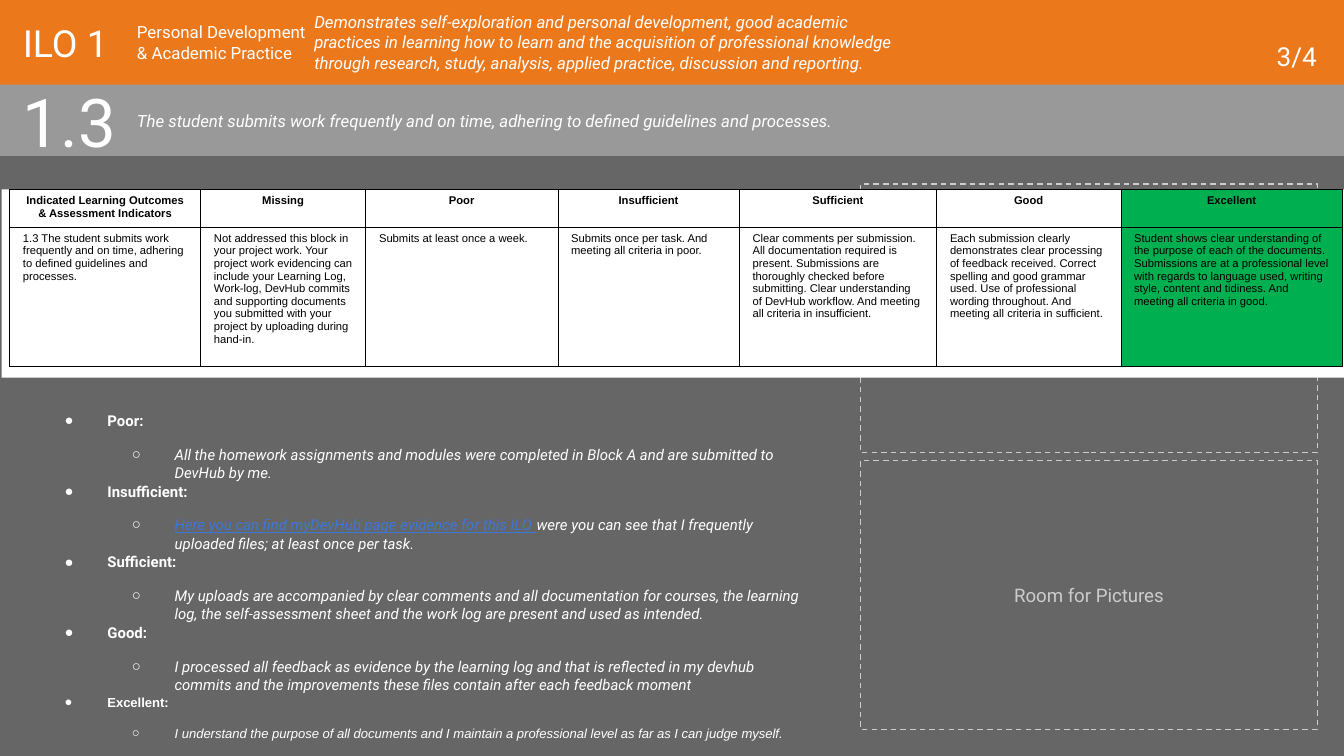
from lxml.etree import SubElement
from pptx import Presentation
from pptx.dml.color import RGBColor
from pptx.enum.dml import MSO_LINE
from pptx.enum.shapes import MSO_SHAPE
from pptx.enum.text import MSO_ANCHOR, MSO_AUTO_SIZE, PP_ALIGN
from pptx.oxml.ns import qn
from pptx.util import Cm, Pt

COLOURS = {
    "background": "666666",
    "indicator band": "999999",
    "outcome band": "EC781C",
    "frame": "CCCCCC",
    "white": "FFFFFF",
    "black": "000000",
    "achieved": "00B050",
    "link": "3C78D8",
}
INSET = Cm(0.25)
BAND_HEIGHT = 1.6
INDICATOR_HEIGHT = 1.37

COLUMN_WIDTHS = [3.61, 3.12, 3.63, 3.43, 3.73, 3.48, 4.19]
ROW_HEIGHTS = [0.71, 2.64]
RUBRIC = [
    ("Indicated Learning Outcomes & Assessment Indicators",
     "1.3 The student submits work frequently and on time, adhering to defined "
     "guidelines and processes."),
    ("Missing",
     "Not addressed this block in your project work. Your project work evidencing can "
     "include your Learning Log, Work-log, DevHub commits and supporting documents you "
     "submitted with your project by uploading during hand-in."),
    ("Poor", "Submits at least once a week."),
    ("Insufficient", "Submits once per task. And meeting all criteria in poor."),
    ("Sufficient",
     "Clear comments per submission. All documentation required is present. Submissions "
     "are thoroughly checked before submitting. Clear understanding of DevHub workflow. "
     "And meeting all criteria in insufficient."),
    ("Good",
     "Each submission clearly demonstrates clear processing of feedback received. Correct "
     "spelling and good grammar used. Use of professional wording throughout. And meeting "
     "all criteria in sufficient."),
    ("Excellent",
     "Student shows clear understanding of the purpose of each of the documents. "
     "Submissions are at a professional level with regards to language used, writing "
     "style, content and tidiness. And meeting all criteria in good."),
]

# Level, link text, evidence, font, size
EVIDENCE = [
    ("Poor:", "",
     "All the homework assignments and modules were completed in Block A and are "
     "submitted to DevHub by me.", "Roboto", 8),
    ("Insufficient:", "Here you can find myDevHub page evidence for this ILO ",
     "were you can see that I frequently uploaded files; at least once per task.",
     "Roboto", 8),
    ("Sufficient:", "",
     "My uploads are accompanied by clear comments and all documentation for courses, "
     "the learning log, the self-assessment sheet and the work log are present and used "
     "as intended.", "Roboto", 8),
    ("Good:", "",
     "I processed all feedback as evidence by the learning log and that is reflected in "
     "my devhub commits and the improvements these files contain after each feedback "
     "moment", "Roboto", 8),
    ("Excellent:", "",
     "I understand the purpose of all documents and I maintain a professional level as "
     "far as I can judge myself.", "Arial", 7),
]


def colour(name):
    return RGBColor.from_string(COLOURS[name])


def format_runs(paragraph, size, font="Roboto", colour_name="white", bold=False, italic=False):
    for run in paragraph.runs:
        run.font.size = Pt(size)
        run.font.name = font
        run.font.bold = bold
        run.font.italic = italic
        run.font.color.rgb = colour(colour_name)


def prepare_frame(text_frame, anchor):
    text_frame.word_wrap = True
    text_frame.auto_size = MSO_AUTO_SIZE.NONE
    text_frame.vertical_anchor = anchor
    text_frame.margin_left = text_frame.margin_right = INSET
    text_frame.margin_top = text_frame.margin_bottom = INSET


def place_in_front(shape, left, top, width, height):
    """Move a placeholder to its position and above the shapes drawn so far."""
    shape.left, shape.top, shape.width, shape.height = map(Cm, (left, top, width, height))
    shape.element.getparent().append(shape.element)


def add_rectangle(slide, left, top, width, height, fill=None):
    shape = slide.shapes.add_shape(
        MSO_SHAPE.RECTANGLE, *map(Cm, (left, top, width, height)))
    shape.shadow.inherit = False
    shape.line.fill.background()
    if fill:
        shape.fill.solid()
        shape.fill.fore_color.rgb = colour(fill)
    else:
        shape.fill.background()
    return shape


def add_picture_frame(slide, top, label=""):
    frame = add_rectangle(slide, 16.26, top, 8.64, 5.08)
    frame.line.color.rgb = colour("frame")
    frame.line.width = Pt(0.75)
    frame.line.dash_style = MSO_LINE.DASH
    if label:
        write_heading(frame, label, 10, PP_ALIGN.CENTER, colour_name="frame")


def write_heading(shape, text, size, align=PP_ALIGN.LEFT, anchor=MSO_ANCHOR.MIDDLE,
                  italic=False, colour_name="white"):
    prepare_frame(shape.text_frame, anchor)
    shape.text_frame.text = text
    for paragraph in shape.text_frame.paragraphs:
        paragraph.alignment = align
        format_runs(paragraph, size, colour_name=colour_name, italic=italic)


def add_heading(slide, left, top, width, height, text, size, **options):
    box = slide.shapes.add_textbox(*map(Cm, (left, top, width, height)))
    write_heading(box, text, size, **options)


def format_bullet(paragraph, level):
    paragraph.level = level
    paragraph.line_spacing = 1.04
    paragraph.space_before = Pt(8 * level)
    properties = paragraph._p.get_or_add_pPr()
    properties.set("marL", str(Cm(1.27 * (level + 1))))
    properties.set("indent", str(-Cm(0.81)))
    bullet_colour = SubElement(properties, qn("a:buClr"))
    SubElement(bullet_colour, qn("a:srgbClr"), val=COLOURS["white"])
    SubElement(properties, qn("a:buChar"), char="●○"[level])


def write_evidence(text_frame):
    prepare_frame(text_frame, MSO_ANCHOR.TOP)
    text_frame.text = "\n".join(
        f"{level}\n{link or evidence}" for level, link, evidence, _, _ in EVIDENCE)
    paragraphs = text_frame.paragraphs
    for index, (_, link, evidence, font, size) in enumerate(EVIDENCE):
        heading, detail = paragraphs[2 * index:2 * index + 2]
        if link:
            detail.add_run().text = evidence
        format_bullet(heading, 0)
        format_bullet(detail, 1)
        format_runs(heading, size, font, bold=True)
        format_runs(detail, size, font, italic=True)
        if link:
            detail.runs[0].font.color.rgb = colour("link")
            detail.runs[0].font.underline = True


def add_borders(cell):
    properties = cell._tc.get_or_add_tcPr()
    for position, side in enumerate(("a:lnL", "a:lnR", "a:lnT", "a:lnB")):
        line = properties.makeelement(qn(side), {"w": str(Pt(0.25))})
        fill = SubElement(line, qn("a:solidFill"))
        SubElement(fill, qn("a:srgbClr"), val=COLOURS["black"])
        properties.insert(position, line)


def add_rubric(slide):
    table = slide.shapes.add_table(
        len(ROW_HEIGHTS), len(RUBRIC), Cm(0.18), Cm(3.58),
        Cm(sum(COLUMN_WIDTHS)), Cm(sum(ROW_HEIGHTS))).table
    table.first_row = table.horz_banding = False
    for row, height in zip(table.rows, ROW_HEIGHTS):
        row.height = Cm(height)
    for column_index, (entries, width) in enumerate(zip(RUBRIC, COLUMN_WIDTHS)):
        table.columns[column_index].width = Cm(width)
        for row_index, text in enumerate(entries):
            is_header = row_index == 0
            cell = table.cell(row_index, column_index)
            cell.margin_top = cell.margin_bottom = Cm(0.1)
            cell.fill.solid()
            cell.fill.fore_color.rgb = colour(
                "achieved" if entries[0] == "Excellent" else "white")
            add_borders(cell)
            cell.text_frame.text = text
            paragraph = cell.text_frame.paragraphs[0]
            paragraph.alignment = PP_ALIGN.CENTER if is_header else PP_ALIGN.LEFT
            format_runs(paragraph, 6, "Arial", "black", bold=is_header)


def main():
    presentation = Presentation()
    presentation.slide_width, presentation.slide_height = Cm(25.4), Cm(14.29)
    slide = presentation.slides.add_slide(presentation.slide_layouts[1])
    slide.background.fill.solid()
    slide.background.fill.fore_color.rgb = colour("background")

    add_rectangle(slide, 0, 1.58, 25.4, INDICATOR_HEIGHT, "indicator band")
    add_rectangle(slide, 0, 0, 25.4, BAND_HEIGHT, "outcome band")
    add_picture_frame(slide, 3.48)
    add_picture_frame(slide, 8.71, "Room for Pictures")

    title, body = slide.placeholders
    place_in_front(title, 0.18, 0, 2.16, BAND_HEIGHT)
    write_heading(title, "ILO 1", 20)
    place_in_front(body, 0.51, 7.52, 14.94, 6.78)
    write_evidence(body.text_frame)

    add_heading(slide, 19.63, 0, 5.51, BAND_HEIGHT, "3/4", 14,
                align=PP_ALIGN.RIGHT, anchor=MSO_ANCHOR.BOTTOM)
    add_heading(slide, 5.69, 0, 11.68, BAND_HEIGHT,
                "Demonstrates self-exploration and personal development, good academic "
                "practices in learning how to learn and the acquisition of professional "
                "knowledge through research, study, analysis, applied practice, "
                "discussion and reporting.", 9, italic=True)
    add_heading(slide, 0.18, BAND_HEIGHT, 2.34, INDICATOR_HEIGHT, "1.3", 36)
    add_heading(slide, 2.34, BAND_HEIGHT, 20.32, INDICATOR_HEIGHT,
                "The student submits work frequently and on time, adhering to defined "
                "guidelines and processes.", 9, italic=True)
    add_heading(slide, 2.34, 0, 3.81, BAND_HEIGHT,
                "Personal Development\n& Academic Practice", 9)

    add_rectangle(slide, 0.03, 3.58, 25.37, 3.56, "white")
    add_rubric(slide)
    presentation.save("out.pptx")


if __name__ == "__main__":
    main()
